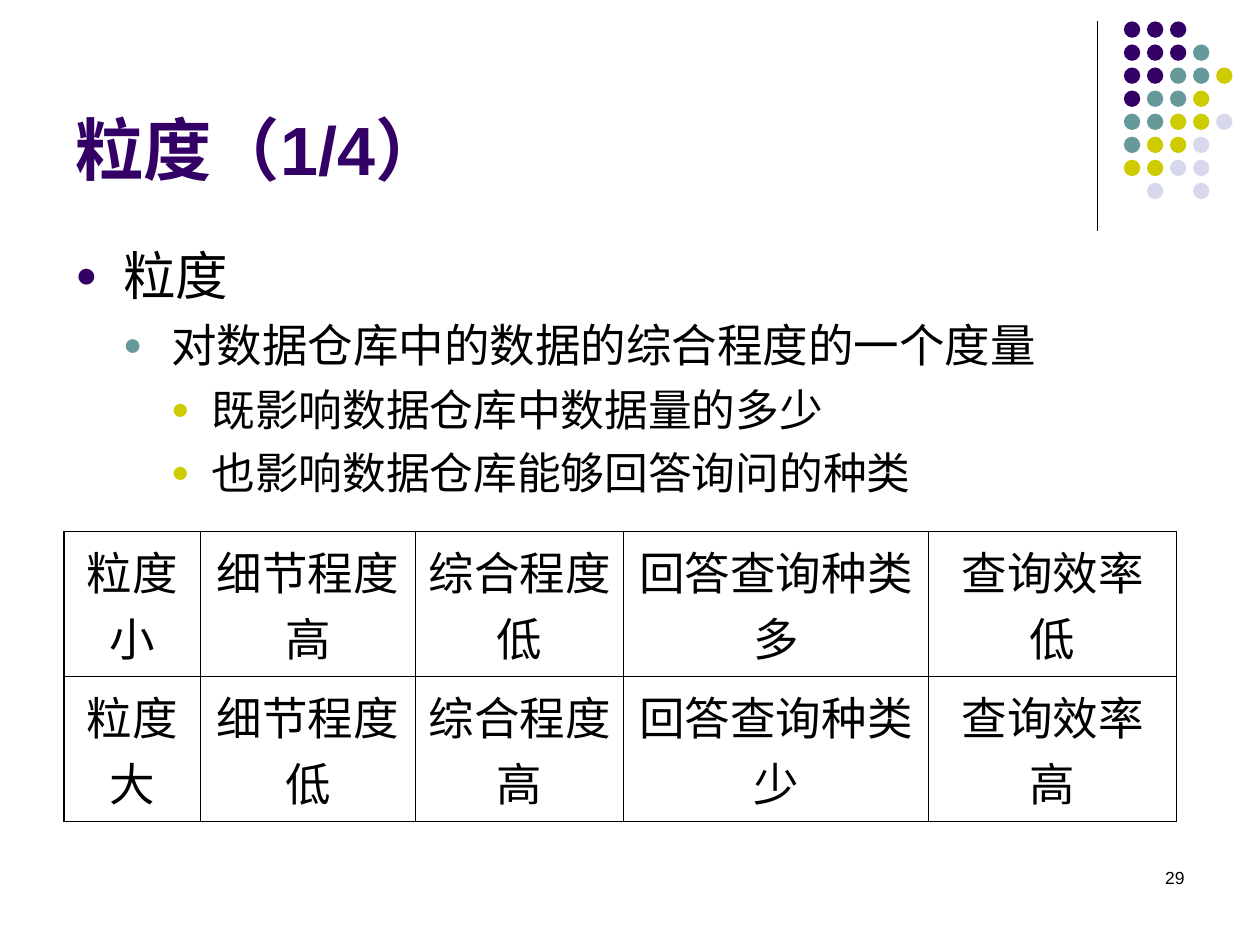
from dataclasses import dataclass

from lxml.etree import SubElement
from pptx import Presentation
from pptx.dml.color import RGBColor
from pptx.enum.shapes import MSO_CONNECTOR, MSO_SHAPE
from pptx.enum.text import MSO_ANCHOR, PP_ALIGN
from pptx.oxml.ns import qn
from pptx.util import Inches, Pt

BLACK = RGBColor(0x00, 0x00, 0x00)
PURPLE = RGBColor(0x33, 0x00, 0x66)
TEAL = RGBColor(0x66, 0x99, 0x99)
LIME = RGBColor(0xCC, 0xCC, 0x00)
PALE = RGBColor(0xD8, 0xD8, 0xEC)

# Dot grid: one letter per dot, a space where there is none
DOTS = ["PPP", "PPPT", "PPTTL", "PTTL", "TTLLA", "TLLA", "LLAA", " A A"]
HUES = {"P": PURPLE, "T": TEAL, "L": LIME, "A": PALE}
PITCH = 0.183

COLS = [1.08, 1.71, 1.65, 2.42, 1.97]
ROWS = [
    ["粒度小", "细节程度高", "综合程度低", "回答查询种类多", "查询效率低"],
    ["粒度大", "细节程度低", "综合程度高", "回答查询种类少", "查询效率高"],
]
TALL = 1.15
THICK, THIN = 1, 0.45


@dataclass
class Level:
    left: float
    hang: float
    before: float
    size: float
    color: RGBColor


@dataclass
class Point:
    text: str
    depth: int


LEVELS = [
    Level(0.38, 0.38, 7.5, 30, PURPLE),
    Level(0.76, 0.38, 6.5, 26, TEAL),
    Level(1.08, 0.32, 6.2, 25, LIME),
]
POINTS = [
    Point("粒度", 0),
    Point("对数据仓库中的数据的综合程度的一个度量", 1),
    Point("既影响数据仓库中数据量的多少", 2),
    Point("也影响数据仓库能够回答询问的种类", 2),
]


def add_box(slide, left: float, top: float, width: float, height: float):
    box = slide.shapes.add_textbox(
        Inches(left), Inches(top), Inches(width), Inches(height))
    box.text_frame.word_wrap = True
    return box.text_frame


def add_run(para, text: str, size: float, color: RGBColor = BLACK,
            bold: bool = False, face: str = "Arial") -> None:
    run = para.add_run()
    run.text = text
    font = run.font
    font.name, font.size, font.bold = face, Pt(size), bold
    font.color.rgb = color


def add_dot(slide, row: int, col: int, color: RGBColor) -> None:
    dot = slide.shapes.add_shape(
        MSO_SHAPE.OVAL, Inches(8.92 + col * PITCH),
        Inches(0.17 + row * PITCH), Inches(0.13), Inches(0.13))
    dot.shadow.inherit = False
    dot.fill.solid()
    dot.fill.fore_color.rgb = color
    dot.line.fill.background()


def add_point(para, point: Point) -> None:
    level = LEVELS[point.depth]
    para.level = point.depth
    para.space_before = Pt(level.before)
    props = para._p.get_or_add_pPr()
    props.set("marL", str(Inches(level.left)))
    props.set("indent", str(-Inches(level.hang)))
    hue = SubElement(props, qn("a:buClr"))
    SubElement(hue, qn("a:srgbClr"), val=str(level.color))
    SubElement(props, qn("a:buSzPct"), val="70000")
    SubElement(props, qn("a:buFont"), typeface="Arial")
    SubElement(props, qn("a:buChar"), char="●")
    add_run(para, point.text, level.size)


def set_edge(cell, side: str, width: float) -> None:
    props = cell._tc.get_or_add_tcPr()
    edge = SubElement(props, qn(f"a:{side}"), w=str(Pt(width)))
    fill = SubElement(edge, qn("a:solidFill"))
    SubElement(fill, qn("a:srgbClr"), val=str(BLACK))


def fill_cell(cell, text: str, edges: dict[str, bool]) -> None:
    for side, outer in edges.items():
        set_edge(cell, side, THICK if outer else THIN)
    cell.fill.background()
    para = cell.text_frame.paragraphs[0]
    para.alignment = PP_ALIGN.CENTER
    add_run(para, text, 26, face="Times New Roman")


def add_grid(slide) -> None:
    frame = slide.shapes.add_table(
        len(ROWS), len(COLS), Inches(0.51), Inches(4.22),
        Inches(sum(COLS)), Inches(TALL * len(ROWS)))
    table = frame.table
    table.first_row = table.horz_banding = False
    for col, width in zip(table.columns, COLS):
        col.width = Inches(width)
    for r, row in enumerate(ROWS):
        for c, text in enumerate(row):
            edges = {"lnL": c == 0, "lnR": c == len(COLS) - 1,
                     "lnT": r == 0, "lnB": r == len(ROWS) - 1}
            fill_cell(table.cell(r, c), text, edges)


def main() -> None:
    deck = Presentation()
    deck.slide_width, deck.slide_height = Inches(10), Inches(7.5)
    slide = deck.slides.add_slide(deck.slide_layouts[6])

    # Corner rule and dots
    rule = slide.shapes.add_connector(
        MSO_CONNECTOR.STRAIGHT, Inches(8.71), Inches(0.17),
        Inches(8.71), Inches(1.83))
    rule.line.color.rgb = BLACK
    rule.line.width = Pt(0.75)
    SubElement(rule._element.spPr, qn("a:effectLst"))
    for r, row in enumerate(DOTS):
        for c, key in enumerate(row):
            if key in HUES:
                add_dot(slide, r, c, HUES[key])

    # Page number
    para = add_box(slide, 7.17, 6.83, 2.33, 0.5).paragraphs[0]
    para.alignment = PP_ALIGN.RIGHT
    add_run(para, "29", 10)

    # Title
    title = add_box(slide, 0.5, 0.13, 8.25, 1.42)
    title.vertical_anchor = MSO_ANCHOR.BOTTOM
    add_run(title.paragraphs[0], "粒度（1/4）", 39, PURPLE, bold=True)

    # Bullet points
    body = add_box(slide, 0.5, 1.88, 8.67, 3.13)
    for i, point in enumerate(POINTS):
        add_point(body.add_paragraph() if i else body.paragraphs[0], point)

    # Table of grain sizes
    add_grid(slide)
    deck.save("out.pptx")


if __name__ == "__main__":
    main()
